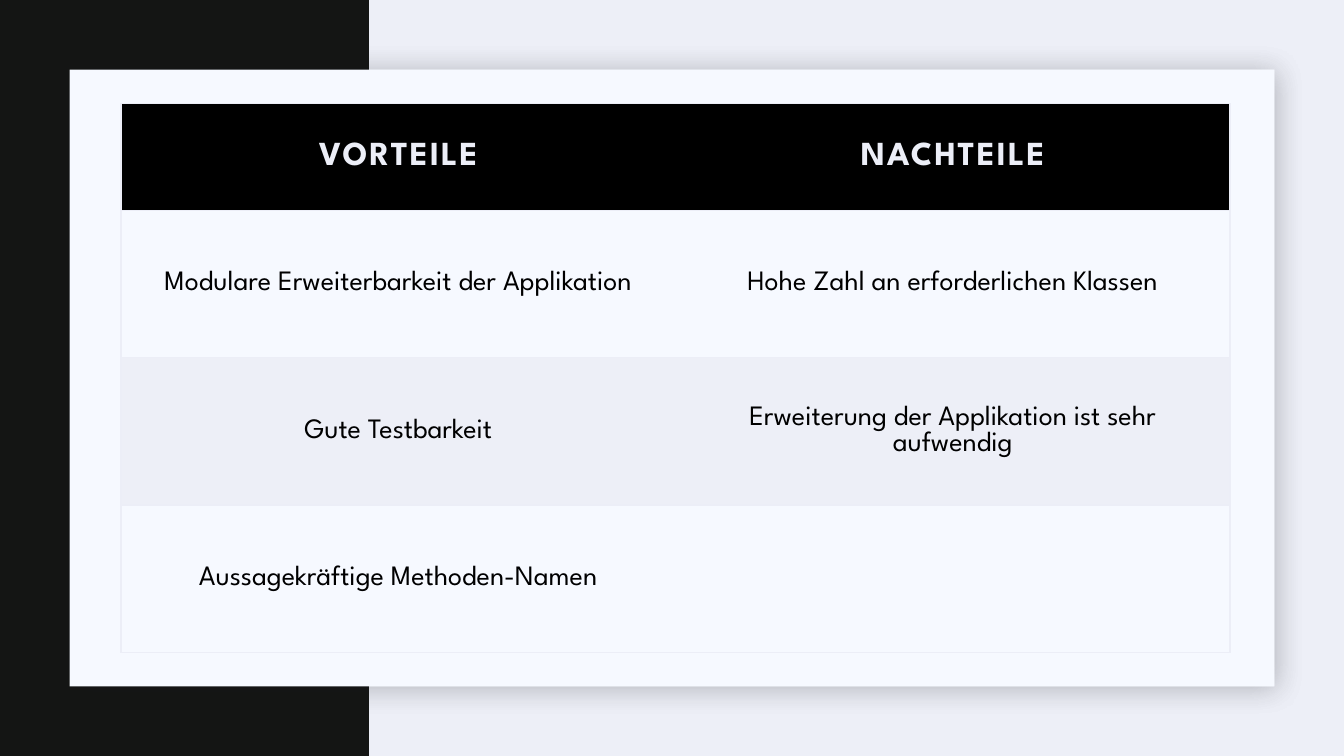
"""Builds a slide that weighs advantages against drawbacks in a table."""
from dataclasses import dataclass
from typing import Optional

from lxml.etree import SubElement
from pptx import Presentation
from pptx.dml.color import RGBColor
from pptx.enum.shapes import MSO_SHAPE as Preset
from pptx.enum.text import MSO_ANCHOR as Anchor, PP_ALIGN as Align
from pptx.oxml import parse_xml
from pptx.oxml.ns import nsdecls, qn
from pptx.util import Inches, Pt

COLORS = {
    "backdrop": "EDEFF7",
    "band": "141514",
    "card": "F6F9FF",
    "shadow": "1F2125",
    "header": "000000",
    "header_text": "ECEEF7",
    "body_text": "000000",
    "border": "ECEEF7",
}
FONT = "League Spartan"
WIDTH, HEIGHT = 13.33, 7.5
MARGIN = 0.69
PADDING = Inches(0.25)
COLUMN_WIDTH = 5.5
HEADER_HEIGHT, BODY_HEIGHT = 1.06, 1.46


@dataclass(frozen=True)
class Panel:
    """A plain rectangle in inches, with or without a soft shadow."""
    left: float
    top: float
    width: float
    height: float
    color: str
    raised: bool = False


@dataclass(frozen=True)
class Row:
    """One table row: its texts, fill colour and text format."""
    texts: tuple[str, str]
    fills: tuple[Optional[str], Optional[str]]
    height: float = BODY_HEIGHT
    size: int = 20
    color: str = "body_text"
    bold: bool = False
    spacing: float = 0


CARD = Panel(MARGIN, MARGIN, WIDTH - 2 * MARGIN, HEIGHT - 2 * MARGIN, "card", raised=True)
PANELS = (CARD, Panel(0, 0, 3.66, HEIGHT, "band"), CARD)
ROWS = (
    Row(("VORTEILE", "NACHTEILE"), ("header", "header"),
        HEADER_HEIGHT, 24, "header_text", True, 1.5),
    Row(("Modulare Erweiterbarkeit der Applikation", "Hohe Zahl an erforderlichen Klassen"),
        ("card", "card")),
    Row(("Gute Testbarkeit", "Erweiterung der Applikation ist sehr aufwendig"),
        ("backdrop", "backdrop")),
    Row(("Aussagekräftige Methoden-Namen", ""), (None, None)),
)


def rgb(name: str) -> RGBColor:
    """Return the named colour."""
    return RGBColor.from_string(COLORS[name])


def paint(fill, name: Optional[str]) -> None:
    """Fill with the named colour, or leave clear."""
    if name is None:
        fill.background()
    else:
        fill.solid()
        fill.fore_color.rgb = rgb(name)


def draw_panel(slide, panel: Panel) -> None:
    """Draw one background rectangle."""
    box = (panel.left, panel.top, panel.width, panel.height)
    shape = slide.shapes.add_shape(Preset.RECTANGLE, *map(Inches, box))
    paint(shape.fill, panel.color)
    shape.line.fill.background()
    shape.shadow.inherit = False
    if panel.raised:
        effects = shape._element.spPr.find(qn("a:effectLst"))
        effects.append(parse_xml(
            f'<a:outerShdw {nsdecls("a")} blurRad="{Pt(20)}" dist="{Pt(2)}" dir="2700000" '
            f'algn="tl" rotWithShape="0"><a:srgbClr val="{COLORS["shadow"]}">'
            '<a:alpha val="15000"/></a:srgbClr></a:outerShdw>'))


def write(frame, text: str, *, size: int, color: str, bold: bool, spacing: float) -> None:
    """Write one centred, formatted line of text."""
    paragraph = frame.paragraphs[0]
    paragraph.alignment = Align.CENTER
    if not text:
        return
    run = paragraph.add_run()
    run.text = text
    run.font.name, run.font.size, run.font.bold = FONT, Pt(size), bold
    run.font.color.rgb = rgb(color)
    run._r.get_or_add_rPr().set("spc", str(round(spacing * 100)))


def set_borders(cell, visible: str) -> None:
    """Draw the listed sides (of L, R, T, B) and clear the others."""
    properties = cell._tc.get_or_add_tcPr()
    for position, side in enumerate("LRTB"):
        line = SubElement(properties, qn(f"a:ln{side}"), w=str(Pt(1)))
        if side in visible:
            solid = SubElement(line, qn("a:solidFill"))
            SubElement(solid, qn("a:srgbClr"), val=COLORS["border"])
        else:
            SubElement(line, qn("a:noFill"))
        properties.insert(position, line)


def draw_table(slide, rows: tuple[Row, ...]) -> None:
    """Draw the comparison table."""
    total = sum(row.height for row in rows)
    box = (1.2, 1.03, 2 * COLUMN_WIDTH, total)
    table = slide.shapes.add_table(len(rows), 2, *map(Inches, box)).table
    table.first_row = table.horz_banding = False
    for column in table.columns:
        column.width = Inches(COLUMN_WIDTH)
    for index, row in enumerate(rows):
        table.rows[index].height = Inches(row.height)
        for side, (text, fill) in enumerate(zip(row.texts, row.fills)):
            cell = table.cell(index, side)
            cell.vertical_anchor = Anchor.MIDDLE
            cell.margin_left = cell.margin_right = PADDING
            cell.margin_top = cell.margin_bottom = PADDING
            paint(cell.fill, fill)
            set_borders(cell, ("LTB", "RTB")[side])
            write(cell.text_frame, text, size=row.size, color=row.color,
                  bold=row.bold, spacing=row.spacing)


def main() -> None:
    """Build and save the slide."""
    deck = Presentation()
    deck.slide_width, deck.slide_height = Inches(WIDTH), Inches(HEIGHT)
    slide = deck.slides.add_slide(deck.slide_layouts[6])
    paint(slide.background.fill, "backdrop")
    for panel in PANELS:
        draw_panel(slide, panel)
    draw_table(slide, ROWS)
    deck.save("out.pptx")


main()
